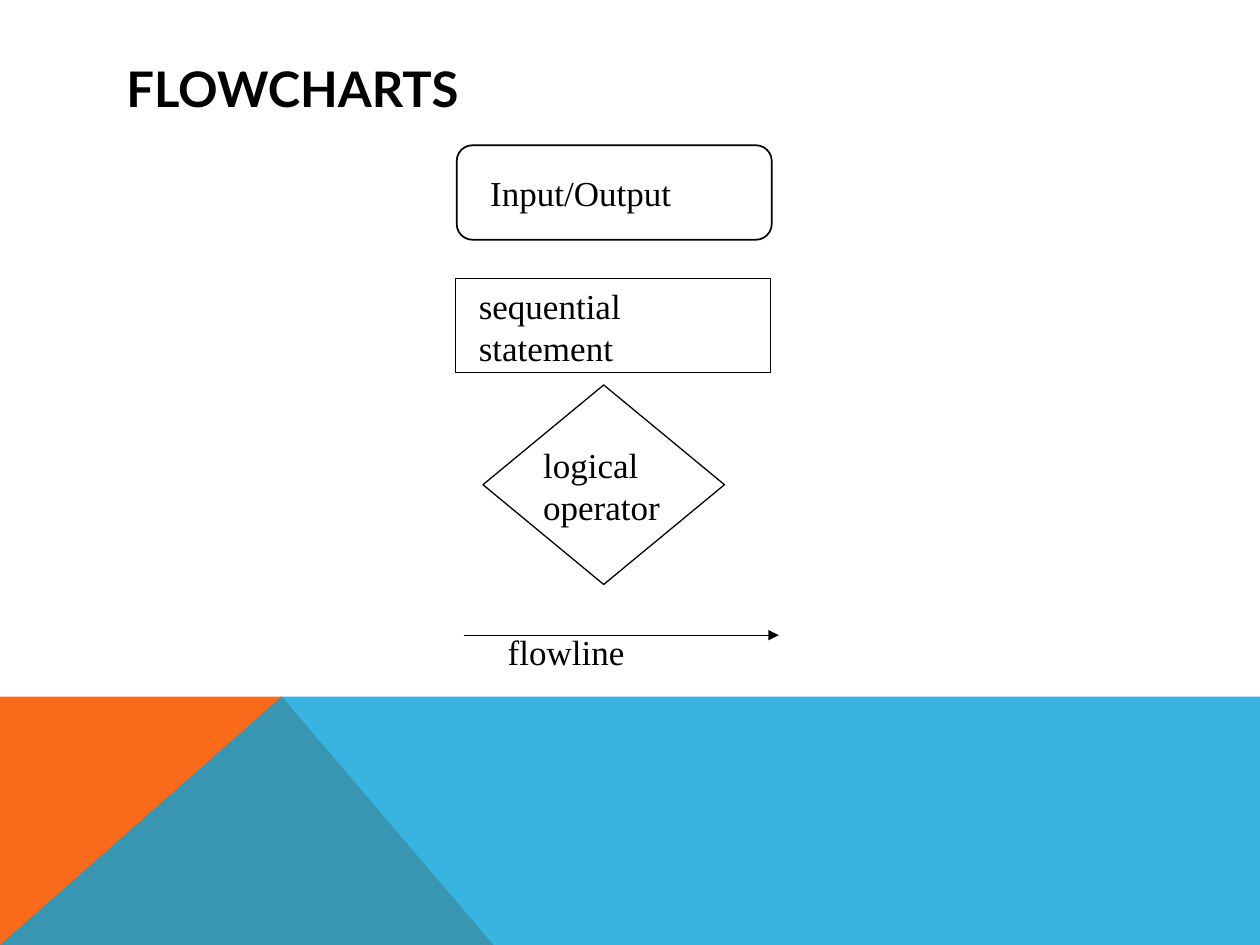
from typing import NamedTuple, Optional

from lxml.etree import SubElement
from pptx import Presentation
from pptx.dml.color import RGBColor
from pptx.enum.shapes import MSO_CONNECTOR as Link, MSO_SHAPE as Kind
from pptx.enum.text import MSO_ANCHOR as Anchor, MSO_AUTO_SIZE as Fit, PP_ALIGN as Align
from pptx.oxml.ns import qn
from pptx.util import Pt

BLACK = RGBColor(0x00, 0x00, 0x00)
WHITE = RGBColor(0xFF, 0xFF, 0xFF)
ORANGE = RGBColor(0xF9, 0x6A, 0x1B)
BLUE = RGBColor(0x08, 0xA1, 0xD9)

WIDE, HIGH = 720, 540
BAND, PEAK = 397.5, 160.75

TITLE = {"name": "Lato", "size": Pt(28), "bold": True}
LABEL = {"name": "Times New Roman", "size": Pt(20), "bold": False}


class Box(NamedTuple):
    left: float
    top: float
    width: float
    height: float

    def points(self) -> list:
        return [Pt(side) for side in self]


class Symbol(NamedTuple):
    """One flowchart symbol; without a kind it is an arrow along the top of its box."""
    label: str
    kind: Optional[Kind]
    box: Box
    text: Box
    line: float = 0.75
    anchor: Anchor = Anchor.TOP


class Panel(NamedTuple):
    color: RGBColor
    dots: list
    alpha: int = 100


SYMBOLS = [
    Symbol("sequential statement", Kind.RECTANGLE,
           Box(260.5, 159, 180, 54), Box(266.5, 159, 168, 55.7)),
    Symbol("flowline", None,
           Box(265, 363, 180, 0), Box(283, 357, 156, 31.5)),
    Symbol("logical operator", Kind.DIAMOND,
           Box(276, 220, 138, 114), Box(303.25, 249.75, 126, 55.7)),
    Symbol("Input/Output", Kind.FLOWCHART_ALTERNATE_PROCESS,
           Box(261, 83, 180, 54), Box(273, 94.5, 168, 31.5), 1, Anchor.MIDDLE),
]

PANELS = [
    Panel(ORANGE, [(0, HIGH), (0, BAND), (PEAK, BAND), (281.5, HIGH)]),
    Panel(BLUE, [(0, HIGH), (PEAK, BAND), (WIDE, BAND), (WIDE, HIGH)], 80),
]


def write(frame, text: str, style: dict, anchor: Anchor) -> None:
    frame.word_wrap = True
    frame.vertical_anchor = anchor
    para = frame.paragraphs[0]
    para.alignment = Align.LEFT
    run = para.add_run()
    run.text = text
    for name, value in style.items():
        setattr(run.font, name, value)
    run.font.color.rgb = BLACK


def draw_panel(slide, panel: Panel) -> None:
    pen = slide.shapes.build_freeform(*panel.dots[0], scale=Pt(1))
    pen.add_line_segments(panel.dots[1:], close=True)
    shape = pen.convert_to_shape()
    shape.shadow.inherit = False
    shape.line.fill.background()
    shape.fill.solid()
    shape.fill.fore_color.rgb = panel.color
    if panel.alpha < 100:
        tint = shape.fill._xPr.find(qn("a:solidFill"))[0]
        SubElement(tint, qn("a:alpha"), val=str(panel.alpha * 1000))


def draw_arrow(shapes, box: Box):
    left, top, width, _ = box.points()
    arrow = shapes.add_connector(Link.STRAIGHT, left, top, left + width, top)
    line = arrow.line._get_or_add_ln()
    SubElement(line, qn("a:tailEnd"), type="triangle")
    SubElement(arrow._element.spPr, qn("a:effectLst"))
    return arrow


def draw_symbol(slide, item: Symbol) -> None:
    shapes = slide.shapes.add_group_shape().shapes
    if item.kind is None:
        shape = draw_arrow(shapes, item.box)
    else:
        shape = shapes.add_shape(item.kind, *item.box.points())
        shape.shadow.inherit = False
        shape.fill.background()
    shape.line.color.rgb = BLACK
    shape.line.width = Pt(item.line)
    frame = shapes.add_textbox(*item.text.points()).text_frame
    write(frame, item.label, LABEL, item.anchor)
    frame.auto_size = Fit.SHAPE_TO_FIT_TEXT
    frame.paragraphs[0].space_before = Pt(12.5)


def main() -> None:
    deck = Presentation()
    deck.slide_width, deck.slide_height = Pt(WIDE), Pt(HIGH)
    slide = deck.slides.add_slide(deck.slide_layouts[5])
    slide.background.fill.solid()
    slide.background.fill.fore_color.rgb = WHITE
    for panel in PANELS:
        draw_panel(slide, panel)
    title = slide.shapes.title
    title.left, title.top, title.width, title.height = Box(65, 29, 657, 43).points()
    write(title.text_frame, "FLOWCHARTS", TITLE, Anchor.MIDDLE)
    for item in SYMBOLS:
        draw_symbol(slide, item)
    deck.save("out.pptx")


if __name__ == "__main__":
    main()
